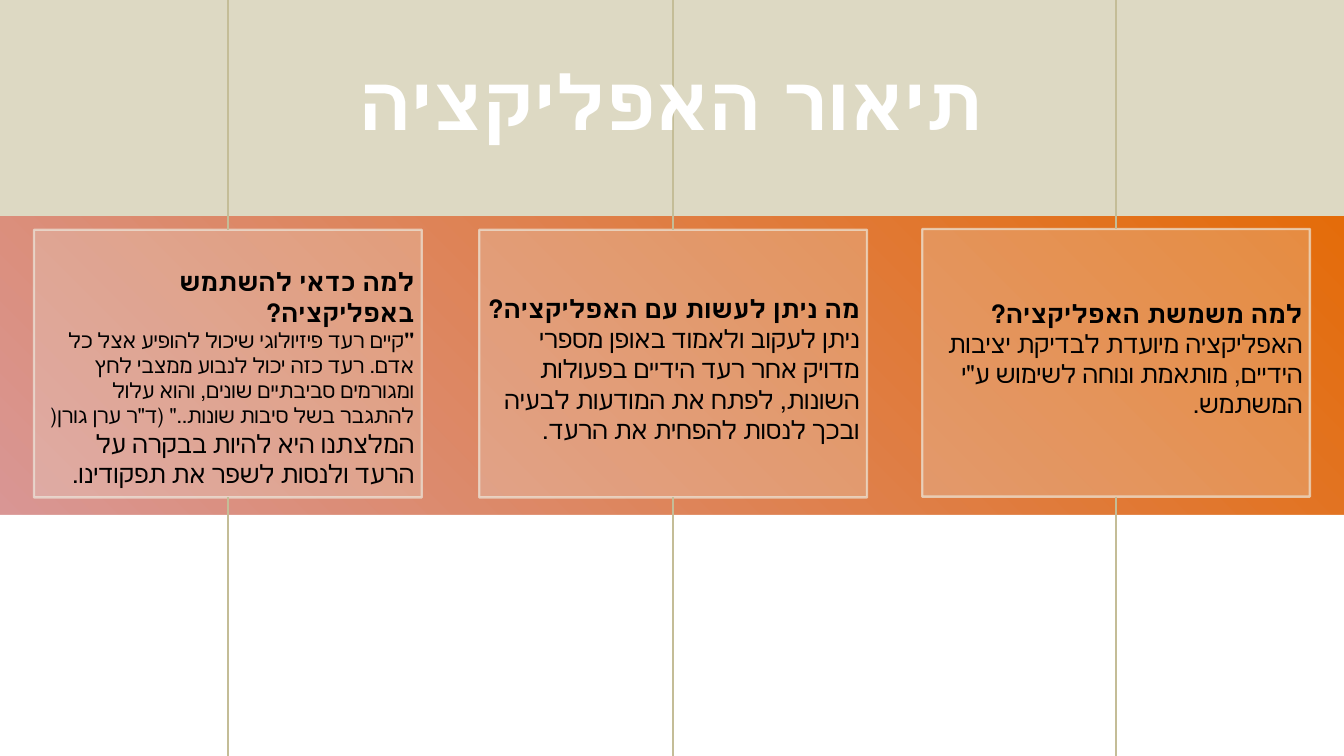
from lxml import etree
from pptx import Presentation
from pptx.dml.color import RGBColor
from pptx.enum.shapes import MSO_CONNECTOR as Connector, MSO_SHAPE as Shape
from pptx.enum.text import MSO_ANCHOR as Anchor, MSO_AUTO_SIZE as AutoSize, PP_ALIGN as Align
from pptx.oxml.ns import qn
from pptx.util import Inches, Pt

WIDTH, HEIGHT = 17.78, 10
FONT = "Calibri"
TITLE = "תיאור האפליקציה"
BANDS = [
    (0, 2.87, ["DDD9C3"]),
    (2.87, 3.94, ["D99694", "E46C0A"]),
    (6.81, 3.19, ["FFFFFF"]),
]
CARD_WIDTH, CARD_HEIGHT = 5.13, 3.54
CARDS = [
    (0.45, 3.04, 3.48, 2.66, [
        ("למה כדאי להשתמש באפליקציה?\n", 24, True),
        ("\"", 20, True),
        ("קיים רעד פיזיולוגי שיכול להופיע אצל כל אדם. רעד כזה יכול לנבוע ממצבי לחץ "
         "ומגורמים סביבתיים שונים, והוא עלול להתגבר בשל סיבות שונות..\" (ד\"ר ערן גורן(\n", 20, False),
        ("המלצתנו היא להיות בבקרה על הרעד ולנסות לשפר את תפקודינו. ", 24, False),
    ]),
    (6.34, 3.04, 3.83, 2.12, [
        ("מה ניתן לעשות עם האפליקציה?\n", 24, True),
        ("ניתן לעקוב ולאמוד באופן מספרי מדויק אחר רעד הידיים בפעולות השונות, "
         "לפתח את המודעות לבעיה ובכך לנסות להפחית את הרעד. ", 24, False),
    ]),
    (12.2, 3.03, 3.89, 1.72, [
        ("למה משמשת האפליקציה?\n", 24, True),
        ("האפליקציה מיועדת לבדיקת יציבות הידיים, מותאמת ונוחה לשימוש ע\"י המשתמש.", 24, False),
    ]),
]


def rgb(code):
    return RGBColor.from_string(code)


def set_alpha(properties, percent):
    color = properties.find(qn("a:solidFill"))[0]
    etree.SubElement(color, qn("a:alpha"), val=str(percent * 1000))


def add_box(slide, left, top, width, height, colors):
    box = slide.shapes.add_shape(
        Shape.RECTANGLE, Inches(left), Inches(top), Inches(width), Inches(height))
    box.shadow.inherit = False
    box.line.fill.background()
    if len(colors) == 1:
        box.fill.solid()
        box.fill.fore_color.rgb = rgb(colors[0])
    else:
        box.fill.gradient()
        box.fill.gradient_angle = 45
        for stop, code in zip(box.fill.gradient_stops, colors):
            stop.color.rgb = rgb(code)
    return box


def add_card(slide, left, top):
    card = add_box(slide, left, top, CARD_WIDTH, CARD_HEIGHT, ["EEECE1"])
    card.line.color.rgb = rgb("EEECE1")
    card.line.width = Pt(2.25)
    set_alpha(card.element.spPr, 25)
    set_alpha(card.element.spPr.find(qn("a:ln")), 65)


def add_rule(slide, x, top, bottom):
    rule = slide.shapes.add_connector(
        Connector.STRAIGHT, Inches(x), Inches(top), Inches(x), Inches(bottom))
    rule.line.color.rgb = rgb("C4BD97")
    rule.line.width = Pt(2.25)
    etree.SubElement(rule.element.spPr, qn("a:effectLst"))


def write(frame, text, size=24, bold=False, color="000000", align=Align.RIGHT):
    frame.word_wrap = True
    frame.auto_size = AutoSize.SHAPE_TO_FIT_TEXT
    frame.vertical_anchor = Anchor.TOP
    paragraph = frame.paragraphs[0]
    paragraph.alignment = align
    paragraph._p.get_or_add_pPr().set("rtl", "1")
    line = text.rstrip("\n")
    run = paragraph.add_run()
    run.text = line
    run.font.size = Pt(size)
    run.font.bold = bold
    run.font.name = FONT
    run.font.color.rgb = rgb(color)
    if line != text:
        paragraph.add_line_break()


def main():
    deck = Presentation()
    deck.slide_width, deck.slide_height = Inches(WIDTH), Inches(HEIGHT)
    slide = deck.slides.add_slide(deck.slide_layouts[5])

    for top, height, colors in BANDS:
        add_box(slide, 0, top, WIDTH, height, colors)

    for left, top, text_top, text_height, passages in CARDS:
        add_card(slide, left, top)
        description = slide.shapes.add_textbox(
            Inches(left), Inches(text_top), Inches(CARD_WIDTH), Inches(text_height))
        for text, size, bold in passages:
            write(description.text_frame, text, size=size, bold=bold)
        center = left + CARD_WIDTH / 2
        add_rule(slide, center, 0, top)
        add_rule(slide, center, top + CARD_HEIGHT, HEIGHT)

    title = slide.shapes.title
    title.left, title.top = Inches(3.13), Inches(0.67)
    title.width, title.height = Inches(11.5), Inches(1.31)
    write(title.text_frame, TITLE, size=72, bold=True, color="FFFFFF", align=Align.CENTER)
    title.element.getparent().append(title.element)

    deck.save("out.pptx")


if __name__ == "__main__":
    main()
